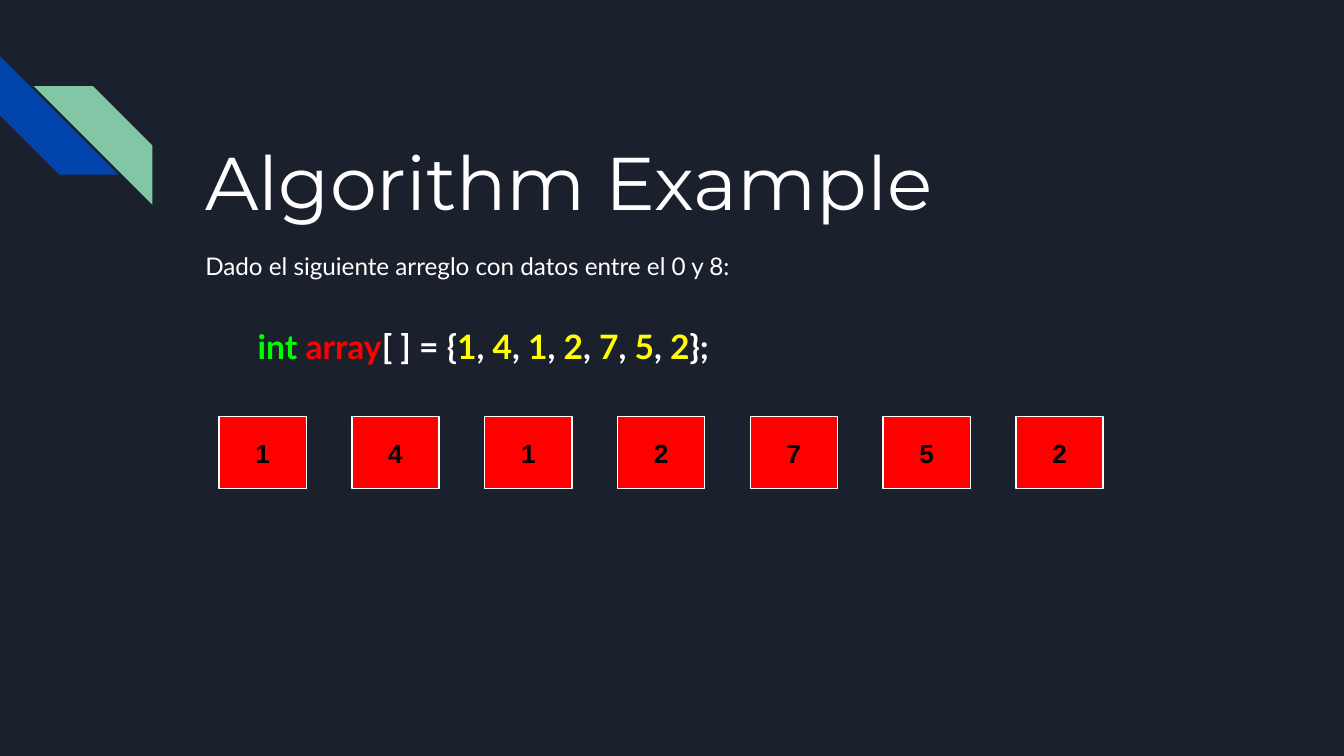
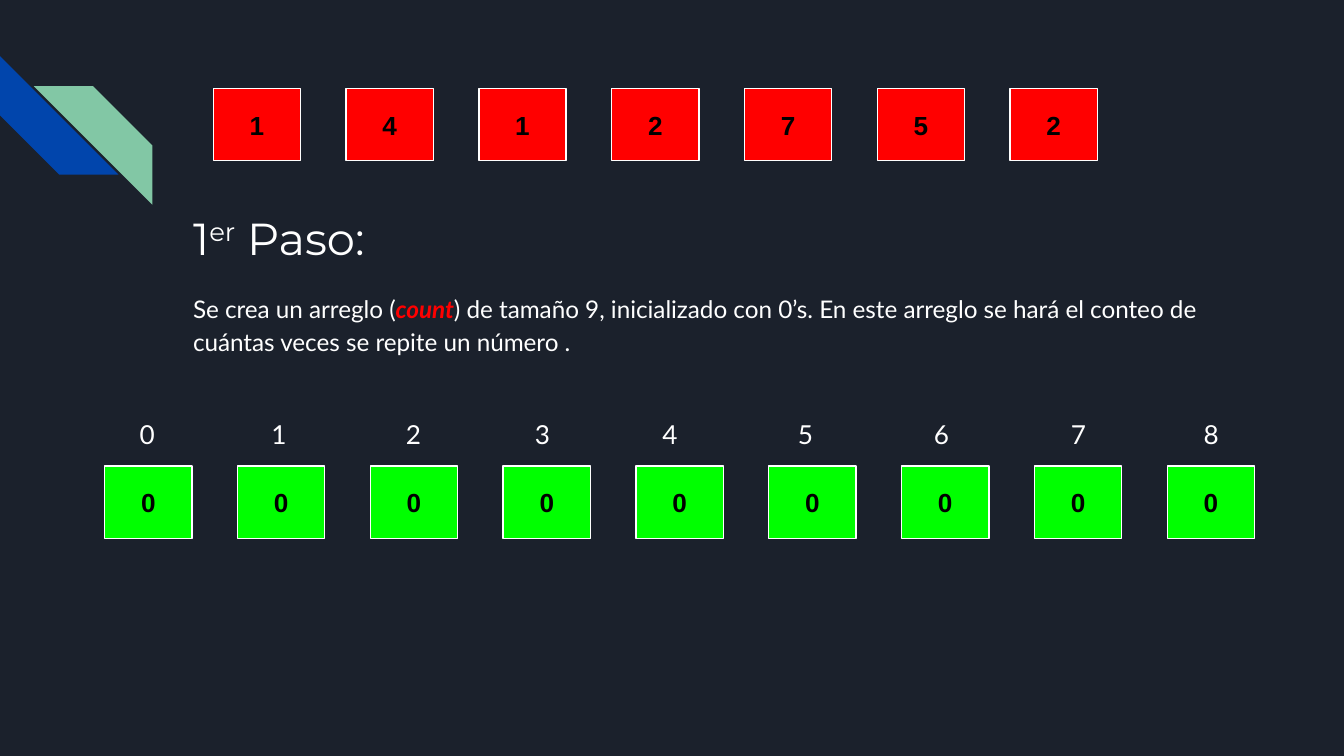
import pptx
import pptx.dml.color
import pptx.enum.shapes
import pptx.enum.text
import pptx.util

Cm = pptx.util.Cm
Pt = pptx.util.Pt
RGBColor = pptx.dml.color.RGBColor
MSO_SHAPE = pptx.enum.shapes.MSO_SHAPE

NIGHT = RGBColor(0x1B, 0x21, 0x2C)
BLUE = RGBColor(0x01, 0x45, 0xAC)
MINT = RGBColor(0x82, 0xC7, 0xA5)
WHITE = RGBColor(0xFF, 0xFF, 0xFF)
BLACK = RGBColor(0x00, 0x00, 0x00)
RED = RGBColor(0xFF, 0x00, 0x00)
GREEN = RGBColor(0x00, 0xFF, 0x00)
YELLOW = RGBColor(0xFF, 0xFF, 0x00)

TITLE_FONT = "Montserrat"
BODY_FONT = "Lato"
CELL_FONT = "Arial"

CELL_WIDTH = 1.65
CELL_HEIGHT = 1.37
CELL_PITCH = 2.51
INSET = Cm(0.25)

array_values = [1, 4, 1, 2, 7, 5, 2]
count_values = [0] * 9


def add_text(page, left, top, width, height, spans, size, font, body=False):
    """Add a text box; spans is a list of (text, colour) pairs."""
    box = page.shapes.add_textbox(Cm(left), Cm(top), Cm(width), Cm(height))
    frame = box.text_frame
    frame.word_wrap = True
    frame.margin_left = frame.margin_right = INSET
    frame.margin_top = frame.margin_bottom = INSET
    para = frame.paragraphs[0]
    if body:
        para.line_spacing = 1.15
        para.space_after = Pt(16)
    for text, colour in spans:
        span = para.add_run()
        span.text = text
        span.font.size = Pt(size)
        span.font.name = font
        span.font.color.rgb = colour
    return para.runs


def add_cells(page, left, top, values, colour):
    """Draw an array as a row of evenly spaced cells."""
    for index, value in enumerate(values):
        cell = page.shapes.add_shape(
            MSO_SHAPE.RECTANGLE, Cm(left + index * CELL_PITCH), Cm(top),
            Cm(CELL_WIDTH), Cm(CELL_HEIGHT))
        cell.shadow.inherit = False
        cell.fill.solid()
        cell.fill.fore_color.rgb = colour
        cell.line.color.rgb = WHITE
        cell.line.width = Pt(0.75)
        frame = cell.text_frame
        frame.text = str(value)
        frame.vertical_anchor = pptx.enum.text.MSO_ANCHOR.MIDDLE
        para = frame.paragraphs[0]
        para.alignment = pptx.enum.text.PP_ALIGN.CENTER
        font = para.runs[0].font
        font.size = Pt(14)
        font.name = CELL_FONT
        font.bold = True
        font.color.rgb = BLACK


deck = pptx.Presentation()
deck.slide_width = Cm(25.4)
deck.slide_height = Cm(14.29)

# Shared background and corner stripes
background = deck.slide_master.background.fill
background.solid()
background.fore_color.rgb = NIGHT

example_page, step_page = [
    deck.slides.add_slide(deck.slide_layouts[6]) for _ in range(2)]
for page in (example_page, step_page):
    stripes = []
    for left, top, colour in [(0, 1.06, BLUE), (0.64, 1.63, MINT)]:
        stripe = page.shapes.add_shape(
            MSO_SHAPE.DIAGONAL_STRIPE, Cm(left), Cm(top), Cm(2.24), Cm(2.24))
        stripe.adjustments[0] = 0.5
        stripe.shadow.inherit = False
        stripe.fill.solid()
        stripe.fill.fore_color.rgb = colour
        stripe.line.fill.background()
        stripes.append(stripe)
    stripes[0].rotation = 270
    stripes[1].element.spPr.xfrm.set("flipH", "1")

# Slide 1: the array to sort
add_text(example_page, 3.63, 2.31, 19.56, 2.54,
         [("Algorithm Example", WHITE)], 40, TITLE_FONT)
add_text(example_page, 3.63, 4.42, 15.14, 1.37,
         [("Dado el siguiente arreglo con datos entre el 0 y 8:", WHITE)],
         13, BODY_FONT, body=True)

code = [("int ", GREEN), ("array", RED), ("[ ] = {", WHITE)]
for index, value in enumerate(array_values):
    if index:
        code.append((", ", WHITE))
    code.append((str(value), YELLOW))
code.append(("};", WHITE))
for span in add_text(example_page, 4.62, 5.79, 9.58, 1.37, code,
                     18, BODY_FONT, body=True):
    span.font.bold = True

add_cells(example_page, 4.14, 7.87, array_values, RED)

# Slide 2: the first step, with the counting array
title = add_text(step_page, 3.4, 3.73, 19.56, 2.54,
                 [("1", WHITE), ("er", WHITE), (" Paso:", WHITE)],
                 24, TITLE_FONT)
title[1].font._element.set("baseline", "30000")

explanation = add_text(
    step_page, 3.4, 5.23, 19.56, 1.42,
    [("Se crea un arreglo (", WHITE), ("count", RED),
     (") de tamaño 9, inicializado con 0’s. En este arreglo se hará el "
      "conteo de cuántas veces se repite un número .", WHITE)],
    13, BODY_FONT, body=True)
explanation[1].font.bold = True
explanation[1].font.italic = True

add_cells(step_page, 1.98, 8.81, count_values, GREEN)
add_cells(step_page, 4.03, 1.67, array_values, RED)

# Index above each counting cell
index_lefts = [2.39, 4.88, 7.42, 9.86, 12.27, 14.83, 17.4, 19.99, 22.5]
for index, left in enumerate(index_lefts):
    add_text(step_page, left, 7.65, 0.81, 0.89,
             [(str(index), WHITE)], 14, BODY_FONT)

deck.save("out.pptx")
